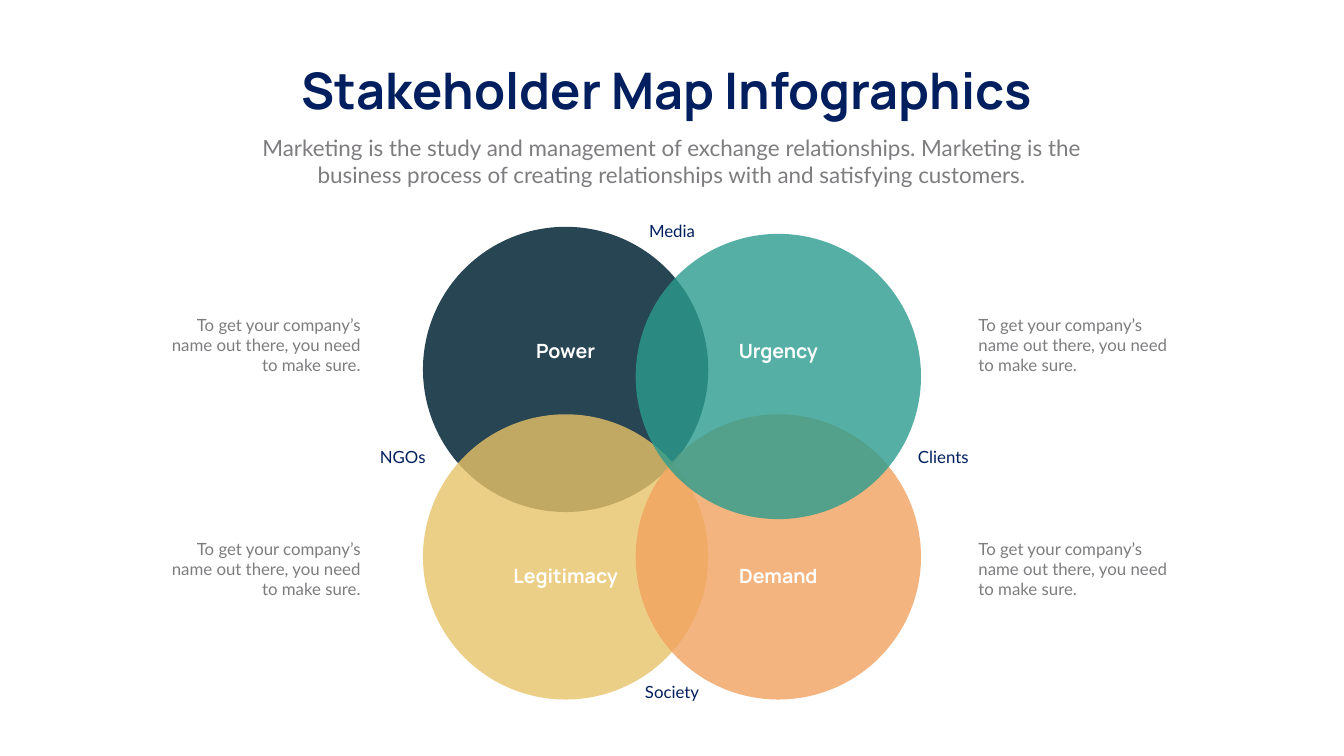
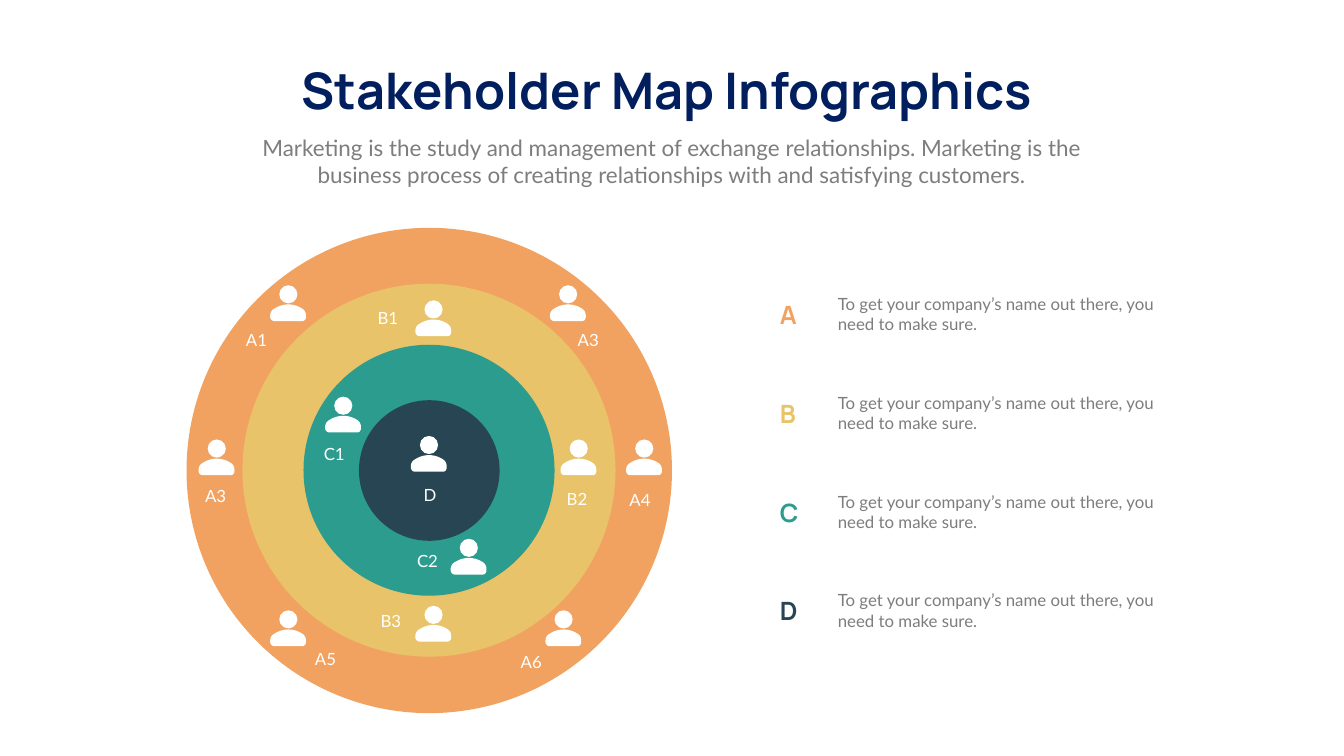
from pptx import Presentation
from pptx.dml.color import RGBColor
from pptx.enum.shapes import MSO_SHAPE
from pptx.enum.text import MSO_AUTO_SIZE, PP_ALIGN
from pptx.oxml.ns import qn
from pptx.util import Pt
from lxml import etree

OVAL = MSO_SHAPE.OVAL
FIT = MSO_AUTO_SIZE.SHAPE_TO_FIT_TEXT
LEFT, MID, RIGHT = PP_ALIGN.LEFT, PP_ALIGN.CENTER, PP_ALIGN.RIGHT

PX = 9144
NAVY, GREY, WHITE = "011F5E", "7E7C7F", "FFFFFF"
DARK, TEAL, GOLD, PEACH = "274553", "2B9C8E", "E8C369", "F2A260"
HEAD, BODY = "Manrope", "Lato"
TITLE = "Stakeholder Map Infographics "
INTRO = ("Marketing is the study and management of exchange relationships. "
         "Marketing is the business process of creating relationships with "
         "and satisfying customers.")
NOTE = "To get your company’s name out there, you need to make sure."

CIRCLES = [
    ("Power", 0, 0, DARK, 100, 218),
    ("Legitimacy", 0, 372, GOLD, 80, 664),
    ("Demand", 422, 372, PEACH, 80, 664),
    ("Urgency", 422, 14, TEAL, 80, 218),
]
EDGES = [
    ("NGOs", -243, 431, RIGHT),
    ("Clients", 972, 431, LEFT),
    ("Media", 365, -17, MID),
    ("Society", 365, 898, MID),
]
RINGS = [(963, PEACH), (740, GOLD), (498, TEAL), (279, DARK)]
PEOPLE = [
    ("D", 445, 413, 389, 505, 188, MID),
    ("C1", 275, 335, 199, 424, 188, MID),
    ("C2", 524, 617, 384, 636, 188, MID),
    ("B1", 454, 144, 369, 154, 103, LEFT),
    ("B2", 742, 420, 723, 512, 103, MID),
    ("B3", 454, 750, 375, 754, 103, LEFT),
    ("A3", 721, 114, 766, 197, 103, LEFT),
    ("A4", 872, 420, 848, 515, 103, MID),
    ("A1", 166, 114, 108, 197, 103, LEFT),
    ("A3", 24, 420, 27, 506, 103, LEFT),
    ("A5", 166, 759, 245, 830, 103, LEFT),
    ("A6", 712, 759, 653, 836, 103, LEFT),
]
TORSO = [
    [(63, 8), (57, 4), (47, 0), (36, 0)],
    [(36, 0), (25, 0), (15, 4), (9, 8)],
    [(9, 8), (3, 11), (0, 16), (0, 22)],
    [(0, 25), (0, 29), (4, 33), (8, 33)],
    [(64, 33), (68, 33), (71, 29), (71, 25)],
    [(71, 22), (71, 16), (68, 11), (63, 8)],
]
STEPS = 8


def emu(*sizes):
    return [round(size * PX) for size in sizes]


def tint(color):
    return RGBColor.from_string(color)


def paint(shape, color, alpha=100):
    shape.shadow.inherit = False
    shape.fill.solid()
    shape.fill.fore_color.rgb = tint(color)
    shape.line.fill.background()
    if alpha < 100:
        node = shape.fill._xPr.find(qn("a:solidFill"))[0]
        etree.SubElement(node, qn("a:alpha"), val=str(alpha * 1000))


def oval(shapes, x, y, size, color, alpha=100):
    paint(shapes.add_shape(OVAL, *emu(x, y, size, size)), color, alpha)


def write(slide, text, x, y, w, h, size=24, font=BODY, color=GREY,
          bold=False, align=LEFT, wrap=True):
    frame = slide.shapes.add_textbox(*emu(x, y, w, h)).text_frame
    frame.word_wrap = wrap
    frame.auto_size = FIT
    para = frame.paragraphs[0]
    para.alignment = align
    run = para.add_run()
    run.text = text
    run.font.size = Pt(size)
    run.font.name = font
    run.font.bold = bold
    run.font.color.rgb = tint(color)


def header(slide, x, y):
    write(slide, TITLE, x + 72, y, 1606, 131, size=72, font=HEAD,
          color=NAVY, bold=True, align=MID, wrap=False)
    write(slide, INTRO, x, y + 149, 1749, 118, size=32, align=MID)


def venn(slide, x, y):
    for name, dx, dy, color, alpha, drop in CIRCLES:
        oval(slide.shapes, x + dx, y + dy, 566, color, alpha)
    for name, dx, dy, color, alpha, drop in CIRCLES:
        write(slide, name, x + dx + 120, y + drop, 326, 57, size=28,
              font=HEAD, color=WHITE, bold=True, align=MID)
    for name, dx, dy, align in EDGES:
        write(slide, name, x + dx, y + dy, 258, 50, color=NAVY, align=align)


def notes(slide, x, y, align):
    for row in range(2):
        write(slide, NOTE, x, y + row * 444, 397, 131, align=align)


def curve(points):
    for step in range(STEPS + 1):
        t = step / STEPS
        parts = ((1 - t) ** 3, 3 * t * (1 - t) ** 2, 3 * t * t * (1 - t), t ** 3)
        yield tuple(sum(k * p[axis] for k, p in zip(parts, points))
                    for axis in range(2))


def person(slide, x, y):
    shapes = slide.shapes.add_group_shape().shapes
    dots = [emu(x + dx, y + 38 + dy)
            for part in TORSO for dx, dy in curve(part)]
    torso = shapes.build_freeform(*dots[0])
    torso.add_line_segments(dots[1:], close=True)
    paint(torso.convert_to_shape(), WHITE)
    oval(shapes, x + 18, y, 36, WHITE)


def target(slide, x, y):
    outer = RINGS[0][0]
    for size, color in RINGS:
        gap = (outer - size) // 2
        oval(slide.shapes, x + gap, y + gap, size, color)
    for name, dx, dy, tx, ty, w, align in PEOPLE:
        person(slide, x + dx, y + dy)
        write(slide, name, x + tx, y + ty, w, 50, color=WHITE, align=align)


def legend(slide, x, y):
    for row, (name, (size, color)) in enumerate(zip("ABCD", RINGS)):
        top = y + row * 196
        write(slide, NOTE, x + 115, top, 652, 91)
        write(slide, name, x, top + 11, 129, 71, size=36, font=HEAD,
              color=color, bold=True)


def main():
    deck = Presentation()
    deck.slide_width, deck.slide_height = emu(2666, 1500)
    blank = deck.slide_layouts[6]

    first = deck.slides.add_slide(blank)
    venn(first, 839, 450)
    notes(first, 328, 619, RIGHT)
    notes(first, 1931, 619, LEFT)
    header(first, 458, 112)

    second = deck.slides.add_slide(blank)
    target(second, 370, 452)
    legend(second, 1537, 578)
    header(second, 458, 112)

    deck.save("out.pptx")


if __name__ == "__main__":
    main()
